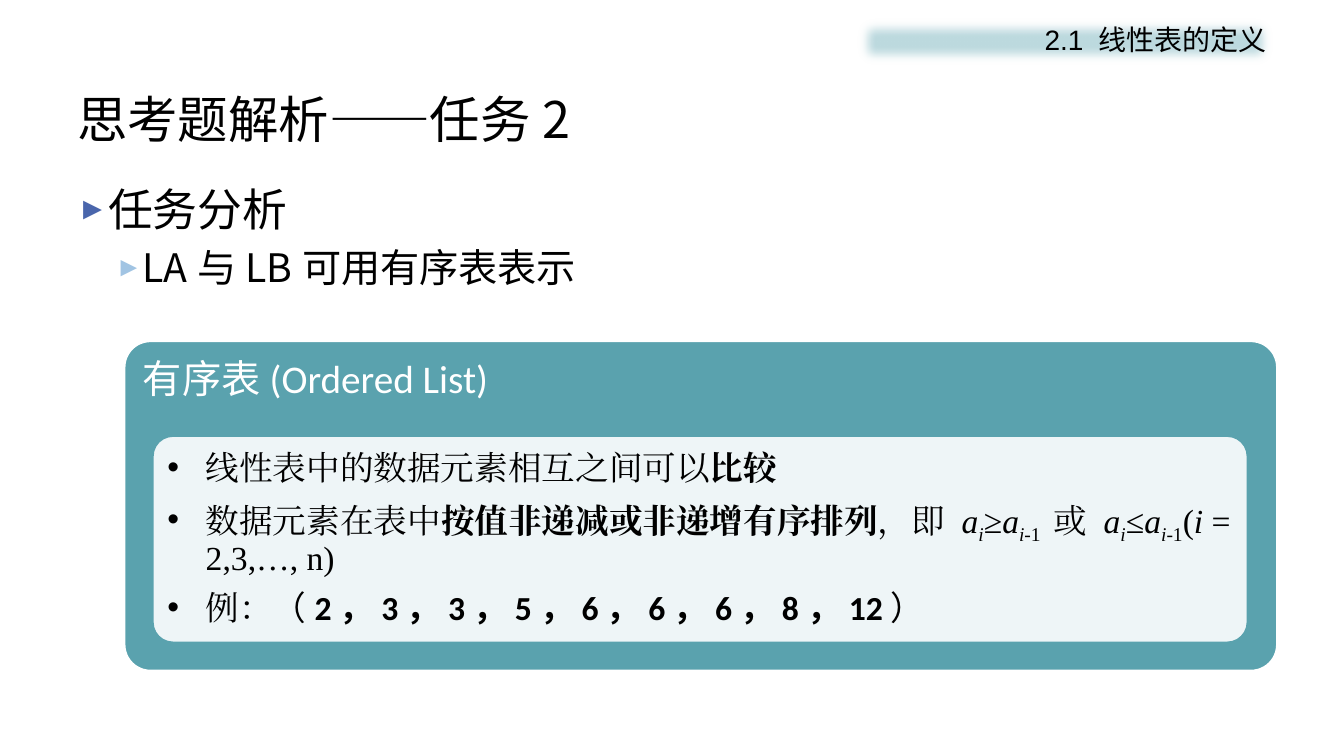
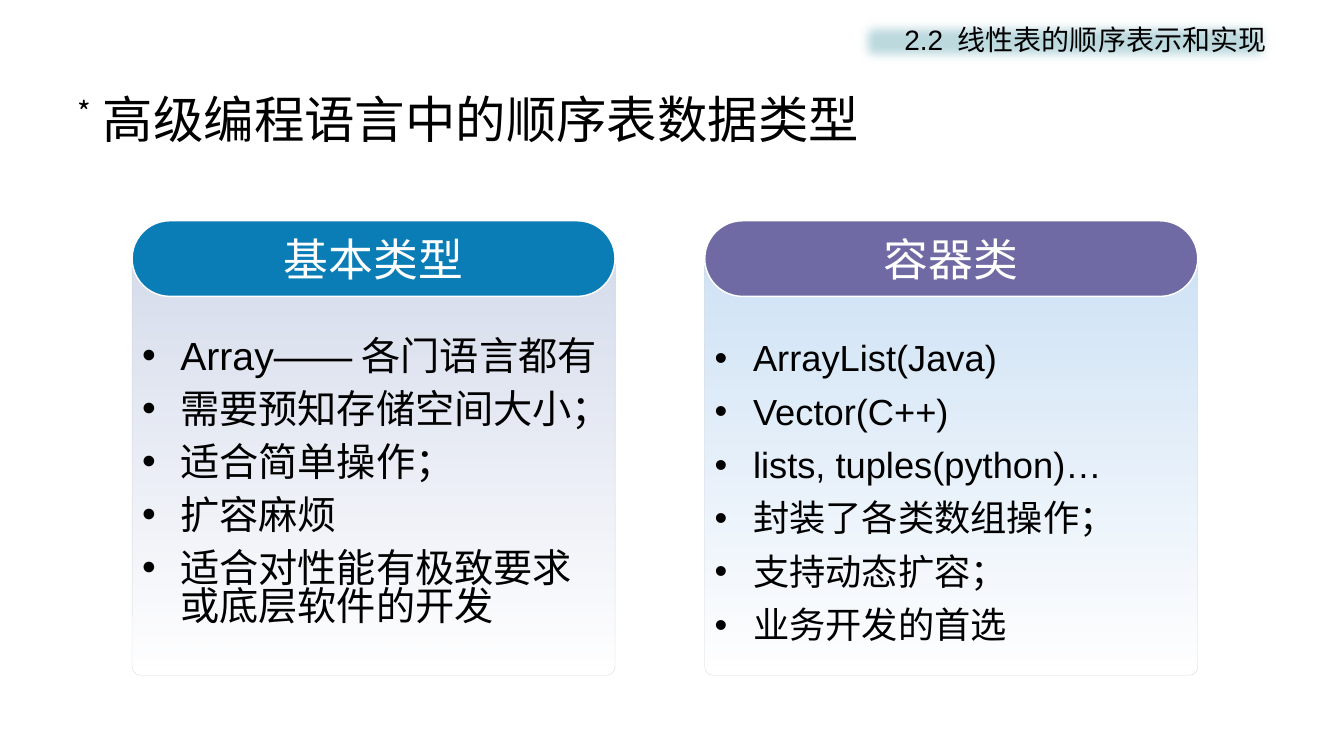
import pptx
import pptx.util
import pptx.dml.color
import pptx.enum.shapes
import pptx.enum.text
import pptx.oxml.ns
from dataclasses import dataclass
from lxml import etree

Pt, Inch = pptx.util.Pt, pptx.util.Inches
Kind = pptx.enum.shapes.MSO_SHAPE
Align = pptx.enum.text.PP_ALIGN
Anchor = pptx.enum.text.MSO_ANCHOR
qn = pptx.oxml.ns.qn


@dataclass(frozen=True)
class Theme:
    ink: str = "000000"
    paper: str = "FFFFFF"
    band: str = "BDDADF"
    teal: str = "5AA2AE"
    navy: str = "4A66AC"
    sky: str = "A1C4E3"
    azure: str = "297FD5"
    blue: str = "0A7DB6"
    plum: str = "6F6AA4"
    edge: str = "D9D9D9"
    cjk: str = "Noto Sans CJK SC"
    sans: str = "Arial"
    serif: str = "Times New Roman"
    label: str = "Calibri"
    title: float = 36
    head: float = 32
    sub: float = 28
    text: float = 24
    note: float = 20


T = Theme()


@dataclass(frozen=True)
class Box:
    """A region in inches; cut() takes shares of it in percent."""
    x: float
    y: float
    w: float
    h: float

    def cut(self, x, y, w, h):
        return Box(self.x + self.w * x / 100, self.y + self.h * y / 100,
                   self.w * w / 100, self.h * h / 100)

    def place(self):
        return [Inch(v) for v in (self.x, self.y, self.w, self.h)]


PAGE = Box(0, 0, 13.33, 7.5)


def rgb(code):
    return pptx.dml.color.RGBColor.from_string(code)


def fade(color, share):
    """Set the opacity of a colour node, in percent."""
    node = color.find(".//" + qn("a:srgbClr"))
    etree.SubElement(node, qn("a:alpha"), val=str(share * 1000))


def shape(page, box, kind, fill=None, line=None, width=1, adj=None):
    item = page.shapes.add_shape(kind, *box.place())
    item.shadow.inherit = False
    if adj is not None:
        item.adjustments[0] = adj
    if fill:
        item.fill.solid()
        item.fill.fore_color.rgb = rgb(fill)
    if line:
        item.line.color.rgb = rgb(line)
        item.line.width = Pt(width)
    else:
        item.line.fill.background()
    return item


def frame(item, anchor=Anchor.TOP, pad=(0.1, 0.05), wrap=True):
    area = item.text_frame
    area.word_wrap = wrap
    area.vertical_anchor = anchor
    area.margin_left = area.margin_right = Inch(pad[0])
    area.margin_top = area.margin_bottom = Inch(pad[1])
    return area


def style(run, size, face, color=T.ink, marks=""):
    """Marks: b bold, i italic, s subscript, u superscript, c label face."""
    font = run.font
    font.name = face = T.label if "c" in marks else face
    font.size = Pt(size)
    font.color.rgb = rgb(color)
    font.bold, font.italic = "b" in marks, "i" in marks
    props = font._element
    for mark, shift in (("s", "-25000"), ("u", "30000")):
        if mark in marks:
            props.set("baseline", shift)
    east = etree.Element(qn("a:ea"), typeface=face)
    props.find(qn("a:latin")).addnext(east)


def write(para, parts, size, face, color=T.ink):
    """Fill a paragraph from a string or from (text, marks) pairs."""
    if isinstance(parts, str):
        parts = [(parts, "")]
    for text, marks in parts:
        run = para.add_run()
        run.text = text
        style(run, size, face, color, marks)


def bullet(para, sign, left, hang, color=None, share=None):
    props = para._p.get_or_add_pPr()
    props.set("marL", str(Inch(left)))
    props.set("indent", str(-Inch(hang)))
    if color:
        tint = etree.SubElement(props, qn("a:buClr"))
        etree.SubElement(tint, qn("a:srgbClr"), val=color)
    if share:
        etree.SubElement(props, qn("a:buSzPct"), val=str(share * 1000))
    etree.SubElement(props, qn("a:buFont"), typeface=T.sans)
    etree.SubElement(props, qn("a:buChar"), char=sign)


def rows(area, items):
    """Yield one paragraph for each item."""
    for i, item in enumerate(items):
        yield (area.add_paragraph() if i else area.paragraphs[0]), item


def points(area, items, size, face, pitch):
    for para, item in rows(area, items):
        bullet(para, "•", 0.38, 0.38)
        para.alignment = Align.LEFT
        para.line_spacing = pitch
        para.space_after = Pt(round(size * 0.39, 1))
        write(para, item, size, face)


def base(deck, section, title):
    """Add a slide with its section band and title."""
    page = deck.slides.add_slide(deck.slide_layouts[6])
    band = shape(page, PAGE.cut(63.47, 1.87, 31.5, 7.2), Kind.RECTANGLE, T.band)
    effect = band._element.spPr.find(qn("a:effectLst"))
    etree.SubElement(effect, qn("a:softEdge"), rad=str(Inch(0.12)))
    para = frame(band, pad=(0.1, 0.08)).paragraphs[0]
    para.alignment = Align.RIGHT
    write(para, section, T.note, T.sans)
    head = page.shapes.add_textbox(*PAGE.cut(5, 10.67, 90, 10).place())
    write(frame(head, Anchor.MIDDLE).paragraphs[0], title, T.title, T.cjk)
    return page


def outline(page, box, items):
    area = frame(page.shapes.add_textbox(*box.place()))
    levels = ((0.28, 0.28, T.navy, T.head), (0.61, 0.23, T.sky, T.sub))
    for para, (level, text) in rows(area, items):
        left, hang, color, size = levels[level]
        if level:
            para.space_before = Pt(size * 0.2)
        bullet(para, "►", left, hang, color, 70)
        write(para, text, size, T.cjk)


def panel(page, box, title, items):
    """Draw a titled block with a pale list inside."""
    back = shape(page, box, Kind.ROUNDED_RECTANGLE, T.teal, T.paper, 2, 0.08)
    para = frame(back, pad=(0.11, 0.11)).paragraphs[0]
    para.alignment = Align.LEFT
    para.line_spacing = 0.9
    write(para, title, T.sub, T.label, T.paper)
    inner = shape(page, box.cut(2.45, 28.7, 95, 62.8),
                  Kind.ROUNDED_RECTANGLE, T.paper, T.teal, 2, 0.1)
    fade(inner._element.spPr.find(qn("a:solidFill")), 90)
    area = frame(inner, Anchor.MIDDLE, (0.09, 0.09))
    points(area, items, T.text, T.serif, 0.9)


def card(page, box, title, items, cap, tint, size, pitch):
    """Draw a fading card with a pill heading and a list."""
    body = shape(page, box.cut(0, 8.43, 100, 91.57), Kind.ROUNDED_RECTANGLE,
                 line=T.edge, width=0.25, adj=0.02)
    body.fill.gradient()
    body.fill.gradient_angle = 270
    for stop, spot, share in zip(body.fill.gradient_stops, (0, 1), (23, 0)):
        stop.position = spot
        stop.color.rgb = rgb(tint)
        fade(stop._gs, share)
    pill = shape(page, box.cut(0, 0, 100, 16.63), Kind.ROUNDED_RECTANGLE,
                 cap, T.paper, 1, 0.5)
    para = frame(pill, Anchor.MIDDLE, wrap=False).paragraphs[0]
    para.alignment = Align.CENTER
    write(para, title, T.head, T.sans, T.paper)
    area = page.shapes.add_textbox(*box.cut(0, 25.28, 100, 74.72).place())
    points(frame(area), items, size, T.sans, pitch)


def order(sign, tail):
    """Runs that compare an element with the one before it."""
    return [("a", "i"), ("i", "is"), (sign, ""),
            ("a", "i"), ("i", "is"), (tail, "s")]


def task(deck):
    page = base(deck, "2.1 线性表的定义", "思考题解析——任务2")
    outline(page, PAGE.cut(5, 23.33, 90, 66),
            [(0, "任务分析"), (1, "LA与LB可用有序表表示")])
    panel(page, PAGE.cut(9.23, 45.07, 85.82, 43.7), "有序表(Ordered List)", [
        [("线性表中的数据元素相互之间可以", ""), ("比较", "b")],
        [("数据元素在表中", ""), ("按值非递减或非递增有序排列", "b"),
         ("，即 ", ""), *order("≥", "-1 "), ("或 ", ""), *order("≤", "-1"),
         ("(", ""), ("i", "i"), (" = 2,3,…, n)", "")],
        [("例：", ""), ("（", "c"),
         ("2，3，3，5，6，6，6，8，12", "bc"), ("）", "c")]])


def types(deck):
    page = base(deck, "2.2 线性表的顺序表示和实现",
                [("*", "u"), ("高级编程语言中的顺序表数据类型", "")])
    card(page, PAGE.cut(9.83, 29.2, 35.93, 60.13), "基本类型",
         ["Array——各门语言都有", "需要预知存储空间大小；", "适合简单操作；",
          "扩容麻烦", "适合对性能有极致要求或底层软件的开发"],
         T.blue, T.navy, T.sub, 0.8)
    card(page, PAGE.cut(52.44, 29.2, 36.68, 60.13), "容器类",
         ["ArrayList(Java)", "Vector(C++)", "lists, tuples(python)…",
          "封装了各类数组操作；", "支持动态扩容；", "业务开发的首选"],
         T.plum, T.azure, 25.9, 0.9)


def main():
    deck = pptx.Presentation()
    deck.slide_width, deck.slide_height = Inch(PAGE.w), Inch(PAGE.h)
    task(deck)
    types(deck)
    deck.save("out.pptx")


if __name__ == "__main__":
    main()
